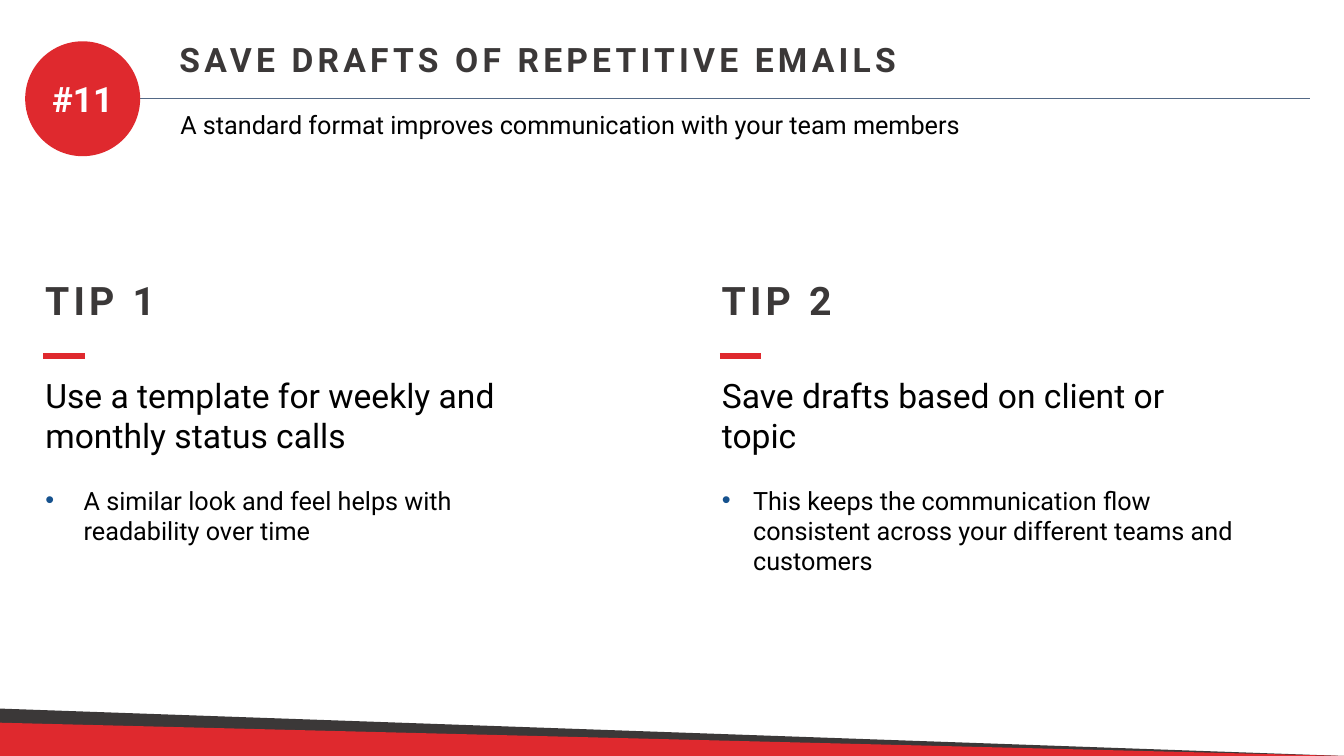
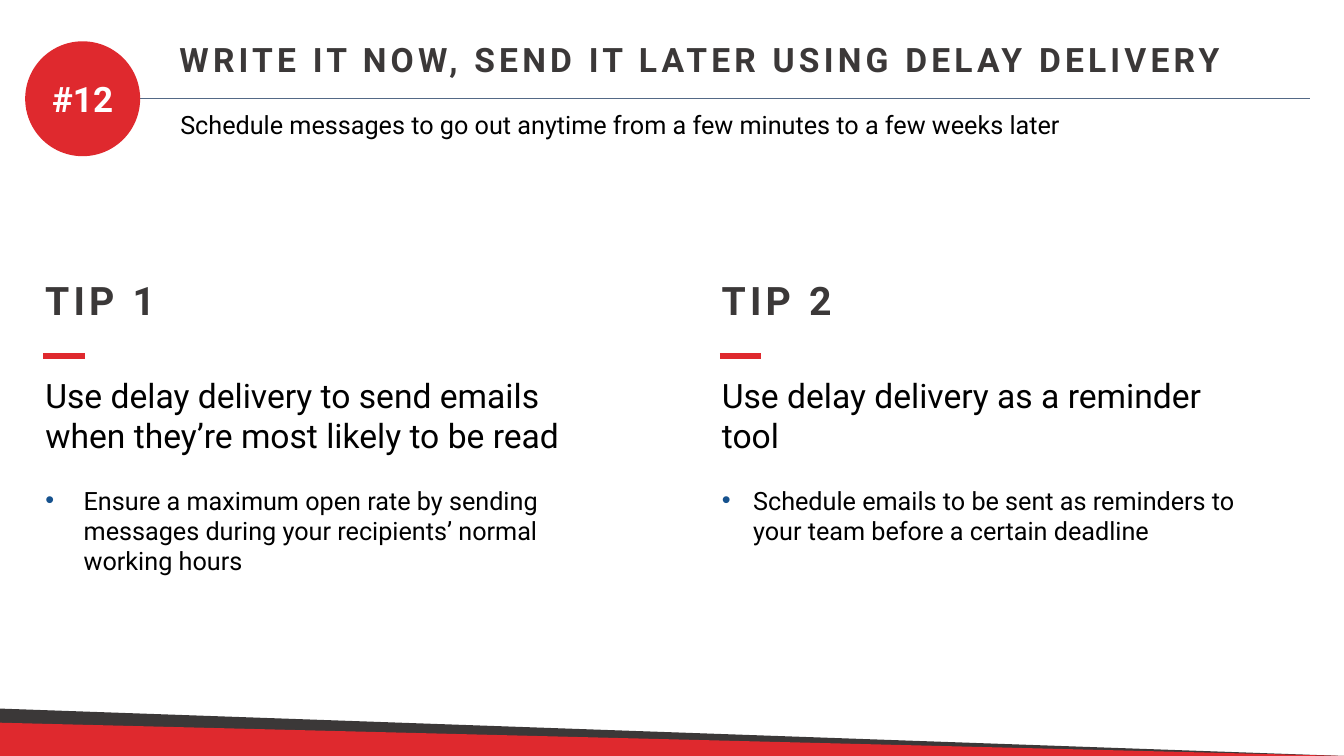
import pptx
import pptx.util
from lxml import etree
from pptx.dml.color import RGBColor
from pptx.enum.shapes import MSO_CONNECTOR, MSO_SHAPE
from pptx.enum.text import MSO_ANCHOR, MSO_AUTO_SIZE, PP_ALIGN
from pptx.oxml.ns import qn

Inches, Pt = pptx.util.Inches, pptx.util.Pt

FONT = "Roboto"
HEX = {"dark": "3B3838", "red": "DF292E", "rule": "536986",
       "bullet": "16528E", "black": "000000", "white": "FFFFFF"}
WIDE, HIGH = 13.33, 7.5
COLS = [(0.35, 0.38), (7.06, 0.31)]  # left edge, bullet indent
BANDS = [(0.47, "dark"), (0.33, "red")]  # height, colour

# each tip: lead, detail, text width
SLIDES = [
    {"mark": "#11",
     "title": "SAVE DRAFTS OF REPETITIVE EMAILS",
     "sub": "A standard format improves communication with your team members",
     "tips": [
         ("Use a template for weekly and monthly status calls",
          "A similar look and feel helps with readability over time", 5.15),
         ("Save drafts based on client or topic",
          "This keeps the communication flow consistent across your "
          "different teams and customers", 5.37)]},
    {"mark": "#12",
     "title": "WRITE IT NOW, SEND IT LATER USING DELAY DELIVERY",
     "sub": "Schedule messages to go out anytime from a few minutes "
            "to a few weeks later",
     "tips": [
         ("Use delay delivery to send emails when they’re most likely "
          "to be read",
          "Ensure a maximum open rate by sending messages during your "
          "recipients’ normal working hours", 5.4),
         ("Use delay delivery as a reminder tool",
          "Schedule emails to be sent as reminders to your team before "
          "a certain deadline", 5.49)]},
]


def color(name):
    return RGBColor.from_string(HEX[name])


def style(para, size, tint="black", bold=False, track=0, align=PP_ALIGN.LEFT):
    """Format a paragraph; track is letter spacing in points."""
    para.alignment = align
    for run in para.runs:
        font = run.font
        font.name, font.size, font.bold = FONT, Pt(size), bold
        font.color.rgb = color(tint)
        if track:
            run._r.get_or_add_rPr().set("spc", str(track * 100))


def place(shape, left, top, width, height):
    shape.left, shape.top = Inches(left), Inches(top)
    shape.width, shape.height = Inches(width), Inches(height)
    frame = shape.text_frame
    frame.word_wrap = True
    frame.auto_size = MSO_AUTO_SIZE.NONE
    frame.vertical_anchor = MSO_ANCHOR.TOP
    return frame


def label(slide, text, box, size, **look):
    shape = slide.shapes.add_textbox(0, 0, 0, 0)
    frame = place(shape, *box)
    frame.text = text
    style(frame.paragraphs[0], size, **look)


def rule(slide, left, right, y, tint, weight):
    line = slide.shapes.add_connector(
        MSO_CONNECTOR.STRAIGHT,
        Inches(left), Inches(y), Inches(right), Inches(y))
    line.line.color.rgb = color(tint)
    line.line.width = Pt(weight)
    etree.SubElement(line._element.spPr, qn("a:effectLst"))


def solid(slide, kind, box, tint):
    shape = slide.shapes.add_shape(kind, *map(Inches, box))
    shape.shadow.inherit = False
    shape.fill.solid()
    shape.fill.fore_color.rgb = color(tint)
    shape.line.fill.background()
    return shape


def bullet(para, indent):
    """Give a hanging bullet, or none when indent is 0."""
    props = para._p.get_or_add_pPr()
    props.set("marL", str(Inches(indent)))
    props.set("indent", str(-Inches(indent)))
    if not indent:
        etree.SubElement(props, qn("a:buNone"))
        return
    tint = etree.SubElement(props, qn("a:buClr"))
    etree.SubElement(tint, qn("a:srgbClr"), val=HEX["bullet"])
    etree.SubElement(props, qn("a:buFont"), typeface="Arial")
    etree.SubElement(props, qn("a:buChar"), char="•")


def header(slide, data):
    frame = place(slide.shapes.title, 1.68, 0.34, 11.02, 0.5)
    frame.text = data["title"]
    style(frame.paragraphs[0], 24, "dark", True, 3)
    rule(slide, 0.35, 12.99, 0.98, "rule", 0.5)
    disc = solid(slide, MSO_SHAPE.OVAL, (0.25, 0.41, 1.14, 1.14), "red")
    frame = disc.text_frame
    frame.word_wrap = False
    frame.vertical_anchor = MSO_ANCHOR.MIDDLE
    frame.text = data["mark"]
    style(frame.paragraphs[0], 25, "white", True, align=PP_ALIGN.CENTER)
    label(slide, data["sub"], (1.69, 1.04, 10.2, 0.4), 18)


def column(slide, num, tip):
    lead, detail, width = tip
    left, indent = COLS[num - 1]
    label(slide, f"TIP {num}", (left, 2.69, 1.6, 0.57), 28,
          tint="dark", bold=True, track=3)
    rule(slide, left + 0.08, left + 0.49, 3.53, "red", 4.5)
    frame = place(slide.placeholders[num], left, 3.67, width, 2.12)
    frame.text = f"{lead}\n{detail}"
    parts = zip(frame.paragraphs, (24, 18), (0, indent), (0, 21))
    for para, size, hang, gap in parts:
        bullet(para, hang)
        para.space_before = Pt(gap)
        style(para, size)


def footer(slide):
    for height, tint in BANDS:
        solid(slide, MSO_SHAPE.RIGHT_TRIANGLE,
              (0, HIGH - height, WIDE, height), tint)


def main():
    deck = pptx.Presentation()
    deck.slide_width, deck.slide_height = Inches(WIDE), Inches(HIGH)
    layout = deck.slide_layouts.get_by_name("Two Content")
    for data in SLIDES:
        slide = deck.slides.add_slide(layout)
        header(slide, data)
        for num, tip in enumerate(data["tips"], 1):
            column(slide, num, tip)
        footer(slide)
    deck.save("out.pptx")


if __name__ == "__main__":
    main()
